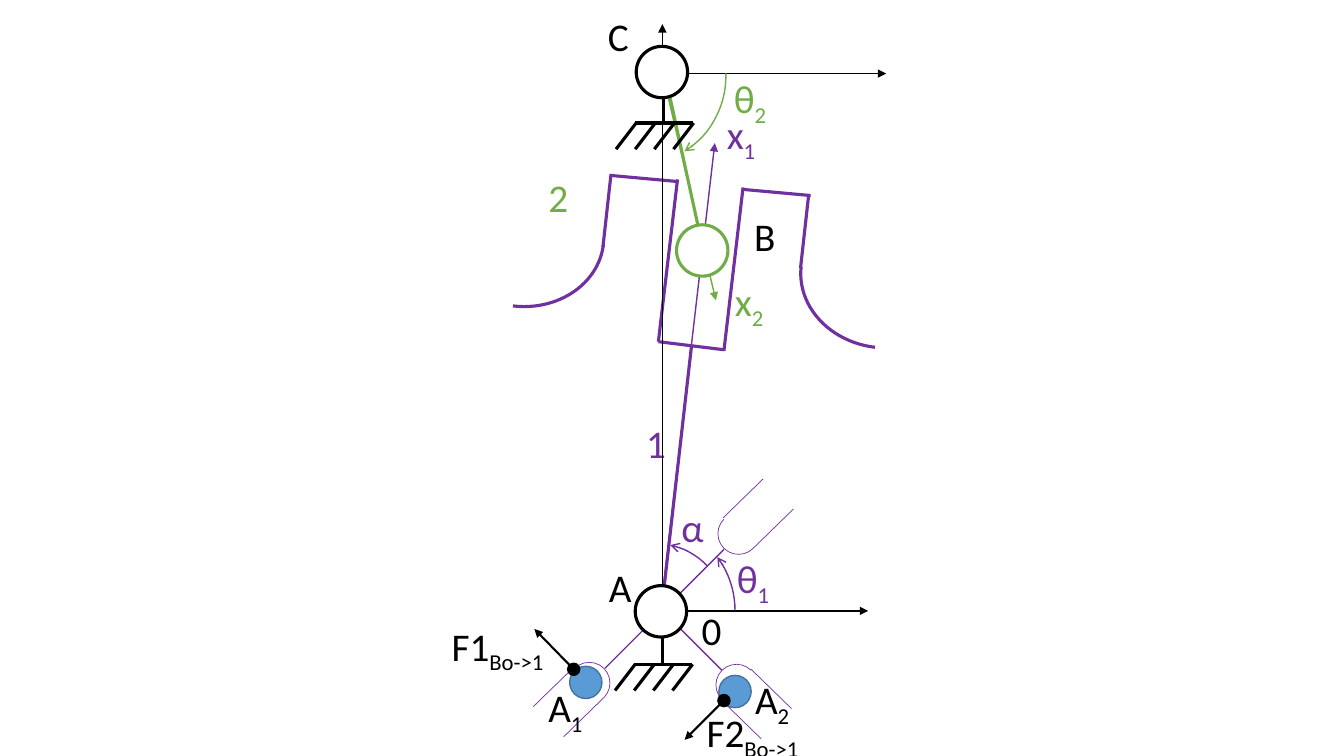
from dataclasses import dataclass
from math import atan2, degrees

from lxml import etree
from pptx import Presentation
from pptx import util as u
from pptx.dml.color import RGBColor
from pptx.enum import shapes, text
from pptx.oxml.ns import qn

EMU_PER_PX = 9144  # 100 px to the inch


@dataclass(frozen=True)
class Theme:
    black: str = "000000"
    white: str = "FFFFFF"
    purple: str = "7030A0"
    green: str = "70AD47"
    pin_fill: str = "5B9BD5"
    pin_line: str = "43739E"
    font: str = "Calibri"
    label_size: int = 28
    heavy: float = 2.25
    force: float = 1.5
    thin: float = 1
    hair: float = 0.5


THEME = Theme()
BODY = dict(color=THEME.purple, weight=THEME.heavy)


def px(value):
    return u.Emu(value * EMU_PER_PX)


def style_line(shape, color, weight, head=None, tail=None):
    shape.line.color.rgb = RGBColor.from_string(color)
    shape.line.width = u.Pt(weight)
    outline = shape._element.spPr.find(qn("a:ln"))
    for tag, arrow in (("a:headEnd", head), ("a:tailEnd", tail)):
        if arrow:
            etree.SubElement(outline, qn(tag)).set("type", arrow)


def add_line(slide, start, end, color=THEME.black, weight=THEME.thin, tail=None):
    line = slide.shapes.add_connector(
        shapes.MSO_CONNECTOR.STRAIGHT, *map(px, (*start, *end)))
    style_line(line, color, weight, tail=tail)
    etree.SubElement(line._element.spPr, qn("a:effectLst"))


def add_circle(slide, centre, diameter, fill, color, weight):
    left, top = (value - diameter // 2 for value in centre)
    circle = slide.shapes.add_shape(
        shapes.MSO_SHAPE.OVAL, *map(px, (left, top, diameter, diameter)))
    circle.shadow.inherit = False
    circle.fill.solid()
    circle.fill.fore_color.rgb = RGBColor.from_string(fill)
    style_line(circle, color, weight)


def add_arc(slide, box, start, end, color=THEME.purple, weight=THEME.thin,
            rotation=0, head=None, tail=None):
    """Draw an arc clockwise between two angles in degrees."""
    arc = slide.shapes.add_shape(shapes.MSO_SHAPE.ARC, *map(px, box))
    arc.shadow.inherit = False
    arc.fill.background()
    arc.adjustments[0] = start * 0.6
    arc.adjustments[1] = end * 0.6
    arc.rotation = rotation
    style_line(arc, color, weight, head, tail)


def add_label(slide, left, top, width, name, subscript="",
              color=THEME.black, wrap=False):
    box = slide.shapes.add_textbox(*map(px, (left, top, width, 57)))
    frame = box.text_frame
    frame.word_wrap = wrap
    frame.auto_size = text.MSO_AUTO_SIZE.SHAPE_TO_FIT_TEXT
    paragraph = frame.paragraphs[0]
    for part in filter(None, (name, subscript)):
        run = paragraph.add_run()
        run.text = part
        run.font.name = THEME.font
        run.font.size = u.Pt(THEME.label_size)
        run.font.color.rgb = RGBColor.from_string(color)
    if subscript:
        run.font._element.set("baseline", "-25000")


def add_ground(slide, x, y):
    bar = y + 26
    add_line(slide, (x, y), (x, bar), weight=THEME.heavy)
    add_line(slide, (x + 29, bar), (x - 28, bar), weight=THEME.heavy)
    for hatch in range(x - 27, x + 31, 19):
        add_line(slide, (hatch, bar), (hatch - 20, bar + 26), weight=THEME.heavy)


def add_slot(slide, centre, dx, dy):
    """Draw a U-shaped slot that opens along the diagonal (dx, dy)."""
    x, y = centre
    add_arc(slide, (x - 20, y - 20, 41, 41), 270, 89.36, weight=THEME.hair,
            rotation=degrees(atan2(dy, dx)) + 180)
    for side in (-15, 15):
        start = (x - side * dy, y + side * dx)
        end = (start[0] + 40 * dx, start[1] + 39 * dy)
        add_line(slide, start, end, THEME.purple, THEME.hair)


def add_force(slide, contact, tip):
    add_circle(slide, contact, 12, THEME.black, THEME.black, THEME.thin)
    add_line(slide, contact, tip, weight=THEME.force, tail="triangle")


def add_frames(slide):
    # Axes of the fixed frames and of the two moving bodies
    for start, end, color in (
        ((669, 73), (879, 73), THEME.black),
        ((651, 606), (861, 606), THEME.black),
        ((655, 608), (709, 142), THEME.purple),
        ((657, 72), (710, 298), THEME.green),
    ):
        add_line(slide, start, end, color, tail="triangle")


def add_wheel(slide):
    # Body 1: arm, central groove and shoulders
    for start, end in (
        ((686, 342), (656, 606)),
        ((672, 178), (653, 339)),
        ((718, 347), (653, 339)),
        ((737, 186), (718, 348)),
        ((671, 180), (605, 174)),
        ((804, 194), (738, 188)),
        ((802, 194), (794, 266)),
        ((606, 173), (598, 245)),
    ):
        add_line(slide, start, end, **BODY)
    add_arc(slide, (794, 203, 164, 142), 270, 0, rotation=186.7, **BODY)
    add_arc(slide, (435, 162, 164, 142), 180, 270, rotation=186.7, **BODY)

    # Slots and the spokes that carry them
    add_line(slide, (600, 663), (718, 545), THEME.purple)
    add_line(slide, (716, 665), (657, 606), THEME.purple)
    for centre in ((581, 677), (729, 686)):
        add_circle(slide, centre, 32, THEME.pin_fill, THEME.pin_line, THEME.thin)
    add_slot(slide, (732, 529), 1, -1)
    add_slot(slide, (730, 679), 1, 1)
    add_slot(slide, (584, 677), -1, 1)


def add_angles(slide):
    add_arc(slide, (552, 517, 177, 177), 323.37, 0, head="arrow")
    add_arc(slide, (576, 539, 146, 146), 282.56, 315.82, head="arrow")
    add_arc(slide, (543, -13, 177, 177), 358.33, 57.56, THEME.green, tail="arrow")


def add_labels(slide):
    for left, top, width, name, subscript, color in (
        (719, 270, 51, "x", "2", THEME.green),
        (711, 105, 51, "x", "1", THEME.purple),
        (594, 554, 43, "A", "", THEME.black),
        (738, 206, 41, "B", "", THEME.black),
        (593, 7, 41, "C", "", THEME.black),
        (686, 597, 40, "0", "", THEME.black),
        (631, 411, 40, "1", "", THEME.purple),
        (534, 167, 40, "2", "", THEME.green),
        (534, 673, 56, "A", "1", THEME.black),
        (739, 665, 56, "A", "2", THEME.black),
        (691, 698, 121, "F2", "Bo->1", THEME.black),
        (438, 612, 121, "F1", "Bo->1", THEME.black),
    ):
        add_label(slide, left, top, width, name, subscript, color)
    for left, top, name, subscript, color in (
        (721, 545, "θ", "1", THEME.purple),
        (718, 69, "θ", "2", THEME.green),
        (666, 494, "α", "", THEME.purple),
    ):
        add_label(slide, left, top, 63, name, subscript, color, wrap=True)


def main():
    presentation = Presentation()
    presentation.slide_width, presentation.slide_height = px(1333), px(750)
    slide = presentation.slides.add_slide(presentation.slide_layouts[6])

    add_frames(slide)

    # Crank 2 and the grounds
    add_line(slide, (698, 250), (660, 76), THEME.green, THEME.heavy)
    add_ground(slide, 658, 96)
    add_ground(slide, 657, 633)
    add_circle(slide, (696, 248), 51, THEME.white, THEME.green, THEME.heavy)

    add_wheel(slide)
    add_angles(slide)
    add_force(slide, (569, 664), (530, 624))
    add_force(slide, (718, 695), (679, 734))
    add_labels(slide)

    # Vertical axis with the fixed pivots C and A on top
    add_line(slide, (657, 606), (657, 24), tail="triangle")
    for pivot in ((656, 71), (655, 606)):
        add_circle(slide, pivot, 51, THEME.white, THEME.black, THEME.heavy)

    presentation.save("out.pptx")


if __name__ == "__main__":
    main()
